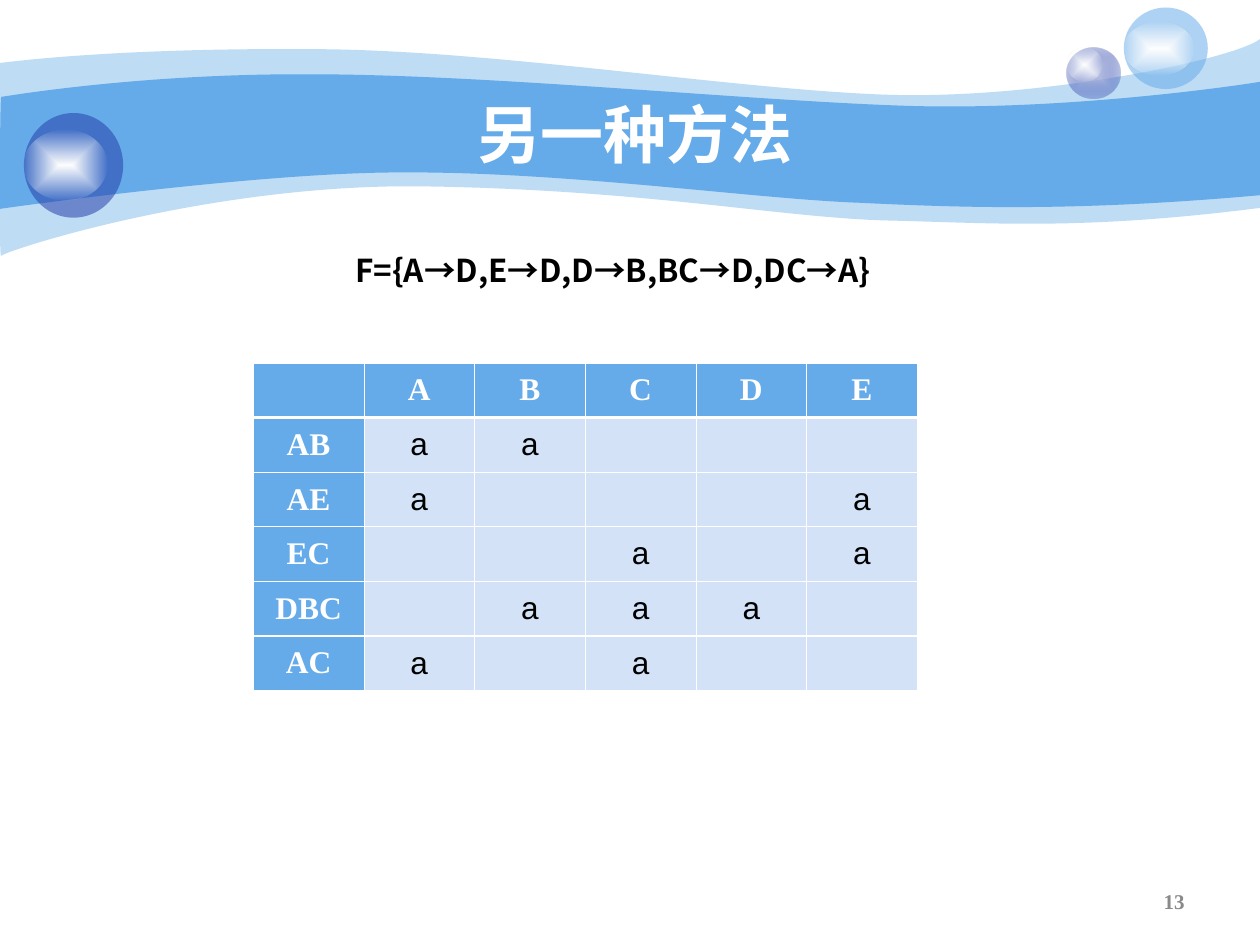
from pptx import Presentation
from pptx.dml.color import RGBColor
from pptx.enum.shapes import MSO_SHAPE
from pptx.enum.text import MSO_ANCHOR, PP_ALIGN
from pptx.oxml import parse_xml
from pptx.oxml.ns import nsdecls, qn
from pptx.util import Pt

OVAL = MSO_SHAPE.OVAL
MID, TOP = MSO_ANCHOR.MIDDLE, MSO_ANCHOR.TOP
LEFT, MIDDLE, RIGHT = PP_ALIGN.LEFT, PP_ALIGN.CENTER, PP_ALIGN.RIGHT

SKY, NAVY, PALE, WHITE, BLACK, GREY = (
    "65AAE9", "233DA9", "D3E2F7", "FFFFFF", "000000", "898989")
SERIF, SANS, HAN = "Times New Roman", "Arial", "Noto Sans CJK SC"

BANDS = [
    (41, (0, 36), [
        (17.3, 33.8, 77, 27.4, 177.8, 28.1),
        (277.9, 28.1, 414, 50.4, 503.3, 54),
        (591.8, 57.6, 705.6, 33.8, 720, 22.3),
        (720, 118.8),
        (617.8, 131.8, 566.6, 127.4, 507.6, 126),
        (447.8, 124.6, 370.8, 108.7, 247, 106.6),
        (123.8, 103.7, 2.9, 143.3, 0.7, 146.2),
        (-0.7, 149.8, 0, 54, 0, 36)]),
    (100, (0.7, 55.4), [
        (1.4, 55.4, 79.2, 41.8, 178.6, 42.5),
        (277.9, 42.5, 428.4, 57.6, 517, 60.5),
        (605.5, 63.4, 702.7, 49.7, 720, 46.8),
        (720, 111.6),
        (614.2, 121, 550.8, 118.8, 491, 115.9),
        (431.3, 113.8, 322.6, 97.9, 228.2, 98.6),
        (146.2, 98.6, -1.4, 119.5, -0.7, 119.5),
        (0, 119.5, 0, 55.4, 0.7, 55.4)]),
]
GLOW = [(WHITE, 100), (WHITE, 0)]
BALLS = [
    ((609.8, 27.2, 30.6, 29), [("C7CEE9", 100), (NAVY, 31)],
     (609.8, 27.2, 20.2, 19.4)),
    ((642.2, 4.3, 48, 46.6), [(SKY, 53)], (642.2, 12.2, 40.3, 31)),
    ((13.7, 64.6, 56.7, 59.8), [(NAVY, 53)], (13.7, 74.2, 47.5, 40.3)),
]
TEXTS = [
    ("另一种方法", (72, 54, 581.8, 44.6), 0, MID, MIDDLE, SANS, 36, WHITE),
    ("13", (516.2, 500.4, 167.8, 28.8), 1, MID, RIGHT, SERIF, 12, GREY),
    ("F={A→D,E→D,D→B,BC→D,DC→A}", (195.8, 139.7, 317.5, 28.8),
     1, TOP, LEFT, HAN, 18, BLACK),
]
HEADS = "ABCDE"
ROWS = ["AB", "AE", "EC", "DBC", "AC"]
GRID = (144.7, 207.4)
COL, ROW = 63.25, 31.2
THIN, THICK = 0.45, 1.47
UNIT = 100


def rgb(code):
    return RGBColor.from_string(code)


def tint(code, alpha):
    return (f'<a:srgbClr val="{code}"><a:alpha val="{alpha * 1000}"/>'
            '</a:srgbClr>')


def paint(shape, stops):
    shape.shadow.inherit = False
    shape.line.fill.background()
    if len(stops) == 1:
        body = f'<a:solidFill {nsdecls("a")}>{tint(*stops[0])}</a:solidFill>'
    else:
        marks = "".join(f'<a:gs pos="{i * 100000}">{tint(*stop)}</a:gs>'
                        for i, stop in enumerate(stops))
        body = (f'<a:gradFill {nsdecls("a")} rotWithShape="1">'
                f'<a:gsLst>{marks}</a:gsLst><a:path path="rect">'
                '<a:fillToRect l="50000" t="50000" r="50000" b="50000"/>'
                '</a:path></a:gradFill>')
    geom = shape.element.spPr.find(qn("a:prstGeom"))
    if geom is None:
        geom = shape.element.spPr.find(qn("a:custGeom"))
    geom.addnext(parse_xml(body))


def ribbon(shapes, start, parts):
    ends = [part[-2:] for part in parts]
    pen = shapes.build_freeform(
        *(round(v * UNIT) for v in start), scale=Pt(1) / UNIT)
    pen.add_line_segments(
        [(round(x * UNIT), round(y * UNIT)) for x, y in ends], close=True)
    shape = pen.convert_to_shape()
    left = min(x for x, y in [start, *ends])
    top = min(y for x, y in [start, *ends])
    lines = list(shape.element.iter(qn("a:lnTo")))
    for line, part in zip(lines, parts):
        if len(part) == 6:
            dots = "".join(
                f'<a:pt x="{round((x - left) * UNIT)}" '
                f'y="{round((y - top) * UNIT)}"/>'
                for x, y in zip(part[::2], part[1::2]))
            line.getparent().replace(line, parse_xml(
                f'<a:cubicBezTo {nsdecls("a")}>{dots}</a:cubicBezTo>'))
    return shape


def write(para, text, align, face, size, color, bold):
    para.alignment = align
    run = para.add_run()
    run.text = text
    font = run.font
    font.name, font.size, font.bold = face, Pt(size), bold
    font.color.rgb = rgb(color)
    run._r.get_or_add_rPr().append(
        parse_xml(f'<a:ea {nsdecls("a")} typeface="{HAN}"/>'))


def border(cell, row):
    props = cell._tc.get_or_add_tcPr()
    wide = {"T": row in (1, 5), "B": row in (0, 4)}
    for i, side in enumerate("LRTB"):
        width = Pt(THICK if wide.get(side) else THIN)
        props.insert(i, parse_xml(
            f'<a:ln{side} {nsdecls("a")} w="{width}"><a:solidFill>'
            f'{tint(WHITE, 100)}</a:solidFill></a:ln{side}>'))


def main():
    deck = Presentation()
    deck.slide_width, deck.slide_height = Pt(720), Pt(540)
    shapes = deck.slides.add_slide(deck.slide_layouts[6]).shapes

    for alpha, start, parts in BANDS:
        paint(ribbon(shapes, start, parts), [(SKY, alpha)])

    for ball, fill, shine in BALLS:
        group = shapes.add_group_shape().shapes
        for box, stops in ((ball, fill), (shine, GLOW)):
            paint(group.add_shape(OVAL, *map(Pt, box)), stops)

    for text, box, inset, anchor, align, face, size, color in TEXTS:
        frame = shapes.add_textbox(*map(Pt, box)).text_frame
        frame.word_wrap = True
        frame.vertical_anchor = anchor
        frame.margin_left = frame.margin_right = Pt(7.2 * inset)
        frame.margin_top = frame.margin_bottom = Pt(3.6 * inset)
        write(frame.paragraphs[0], text, align, face, size, color, True)

    cells = [["", *HEADS]]
    cells += [[name, *("a" if h in name else "" for h in HEADS)]
              for name in ROWS]
    high, wide = len(cells), len(cells[0])
    table = shapes.add_table(high, wide, *map(
        Pt, (*GRID, COL * wide, ROW * high))).table
    table.first_row = table.horz_banding = False
    for col in table.columns:
        col.width = Pt(COL)
    for r, line in enumerate(cells):
        table.rows[r].height = Pt(ROW)
        for c, text in enumerate(line):
            cell = table.cell(r, c)
            head = r == 0 or c == 0
            cell.fill.solid()
            cell.fill.fore_color.rgb = rgb(SKY if head else PALE)
            cell.vertical_anchor = MID
            cell.margin_left = cell.margin_right = Pt(5)
            border(cell, r)
            if text:
                write(cell.text_frame.paragraphs[0], text, MIDDLE,
                      SERIF if head else SANS, 18,
                      WHITE if head else BLACK, head)

    deck.save("out.pptx")


if __name__ == "__main__":
    main()
